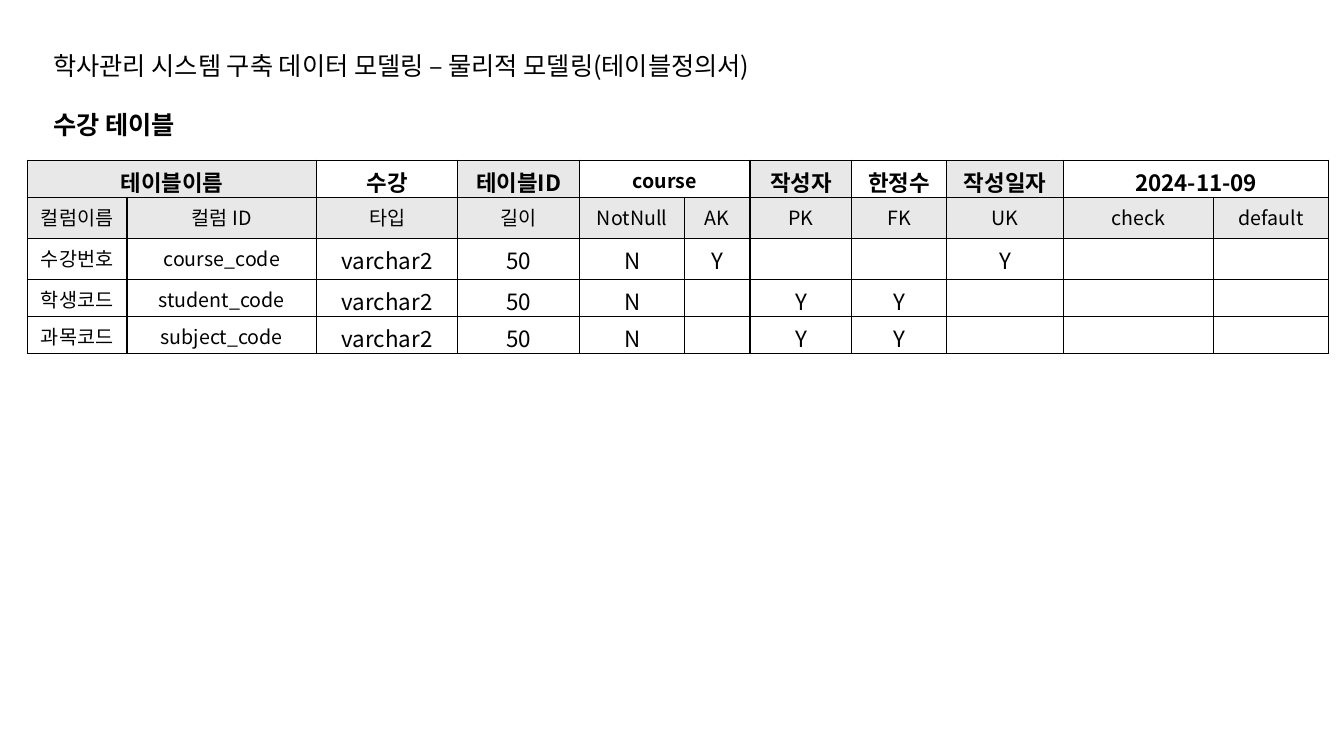
from dataclasses import dataclass

from lxml.etree import SubElement
from pptx import Presentation
from pptx.dml.color import RGBColor
from pptx.enum.text import MSO_AUTO_SIZE, PP_ALIGN
from pptx.oxml import parse_xml
from pptx.oxml.ns import nsdecls, qn
from pptx.slide import Slide
from pptx.table import Table, _Cell
from pptx.text.text import _Paragraph
from pptx.util import Inches, Pt


@dataclass(frozen=True)
class Theme:
    font: str = "Noto Sans CJK KR"
    ink: str = "000000"
    shade: str = "E8E8E8"
    paper: str = "FFFFFF"
    heading: int = 18
    large: int = 16
    small: int = 14
    border: int = 1


@dataclass(frozen=True)
class Heading:
    text: str
    top: float
    width: float
    bold: bool = False


@dataclass(frozen=True)
class TableInfo:
    text: str
    span: int = 1
    shaded: bool = False
    size: int = Theme.large


THEME = Theme()

HEADINGS = [
    Heading("학사관리 시스템 구축 데이터 모델링 – 물리적 모델링(테이블정의서)", 0.45, 7.93),
    Heading("수강 테이블", 1.04, 1.55, bold=True),
]

COL_WIDTHS = [0.99, 1.88, 1.4, 1.21, 1.04, 0.65, 1.01, 0.94, 1.16, 1.49, 1.14]
ROW_HEIGHTS = [0.25, 0.41, 0.41, 0.2, 0.2]

TABLE_INFO = [
    TableInfo("테이블이름", span=2, shaded=True),
    TableInfo("수강"),
    TableInfo("테이블ID", shaded=True),
    TableInfo("course", span=2, size=THEME.small),
    TableInfo("작성자", shaded=True),
    TableInfo("한정수"),
    TableInfo("작성일자", shaded=True),
    TableInfo("2024-11-09", span=2),
]
COLUMN_NAMES = ["컬럼이름", "컬럼 ID", "타입", "길이", "NotNull", "AK", "PK", "FK",
                "UK", "check", "default"]
COLUMN_ROWS = [
    ["수강번호", "course_code", "varchar2", "50", "N", "Y", "", "", "Y", "", ""],
    ["학생코드", "student_code", "varchar2", "50", "N", "", "Y", "Y", "", "", ""],
    ["과목코드", "subject_code", "varchar2", "50", "N", "", "Y", "Y", "", "", ""],
]
NAME_COLS = 2  # leading columns set in the small size


def format_runs(p: _Paragraph, size: int, bold: bool) -> None:
    for r in p.runs:
        r.font.size = Pt(size)
        r.font.bold = bold
        r.font.name = THEME.font
        r.font.color.rgb = RGBColor.from_string(THEME.ink)
        # East Asian typeface for the Korean text
        SubElement(r.font._element, qn("a:ea")).set("typeface", THEME.font)


def add_heading(s: Slide, heading: Heading) -> None:
    sp = s.shapes.add_textbox(Inches(0.43), Inches(heading.top),
                              Inches(heading.width), Inches(0.4))
    tf = sp.text_frame
    tf.word_wrap = False
    tf.auto_size = MSO_AUTO_SIZE.SHAPE_TO_FIT_TEXT
    tf.text = heading.text
    format_runs(tf.paragraphs[0], THEME.heading, heading.bold)


def set_borders(cell: _Cell) -> None:
    tc_pr = cell._tc.get_or_add_tcPr()
    for i, side in enumerate(("lnL", "lnR", "lnT", "lnB")):
        tc_pr.insert(i, parse_xml(
            f'<a:{side} {nsdecls("a")} w="{Pt(THEME.border)}"><a:solidFill>'
            f'<a:srgbClr val="{THEME.ink}"/></a:solidFill></a:{side}>'))


def fill_cell(cell: _Cell, text: str, size: int, shaded: bool = False,
              bold: bool = False) -> None:
    cell.fill.solid()
    cell.fill.fore_color.rgb = RGBColor.from_string(
        THEME.shade if shaded else THEME.paper)
    p = cell.text_frame.paragraphs[0]
    p.alignment = PP_ALIGN.CENTER
    if text:
        p.text = text
        format_runs(p, size, bold)
    else:
        # An empty cell keeps the row's type size
        SubElement(p._p, qn("a:endParaRPr")).set("sz", str(size * 100))


def add_definition_table(s: Slide) -> Table:
    frame = s.shapes.add_table(len(ROW_HEIGHTS), len(COL_WIDTHS), Inches(0.27),
                               Inches(1.59), Inches(sum(COL_WIDTHS)),
                               Inches(sum(ROW_HEIGHTS)))
    table = frame.table
    table.first_row = False
    table.horz_banding = False
    for column, width in zip(table.columns, COL_WIDTHS):
        column.width = Inches(width)
    for row, height in zip(table.rows, ROW_HEIGHTS):
        row.height = Inches(height)

    # Table information, some of it across two columns
    col = 0
    for info in TABLE_INFO:
        cell = table.cell(0, col)
        if info.span > 1:
            cell.merge(table.cell(0, col + info.span - 1))
        for i in range(info.span):
            fill_cell(table.cell(0, col + i), "" if i else info.text,
                      info.size, info.shaded, bold=True)
        col += info.span

    # Column names and definitions
    for col, name in enumerate(COLUMN_NAMES):
        fill_cell(table.cell(1, col), name, THEME.small, shaded=True)
    for row, values in enumerate(COLUMN_ROWS, start=2):
        for col, value in enumerate(values):
            small = col < NAME_COLS or not value
            fill_cell(table.cell(row, col), value,
                      THEME.small if small else THEME.large)

    for cell in table.iter_cells():
        set_borders(cell)
    return table


def main() -> None:
    prs = Presentation()
    prs.slide_width = Inches(13.33)
    prs.slide_height = Inches(7.5)
    s = prs.slides.add_slide(prs.slide_layouts[6])
    for heading in HEADINGS:
        add_heading(s, heading)
    add_definition_table(s)
    prs.save("out.pptx")


if __name__ == "__main__":
    main()
